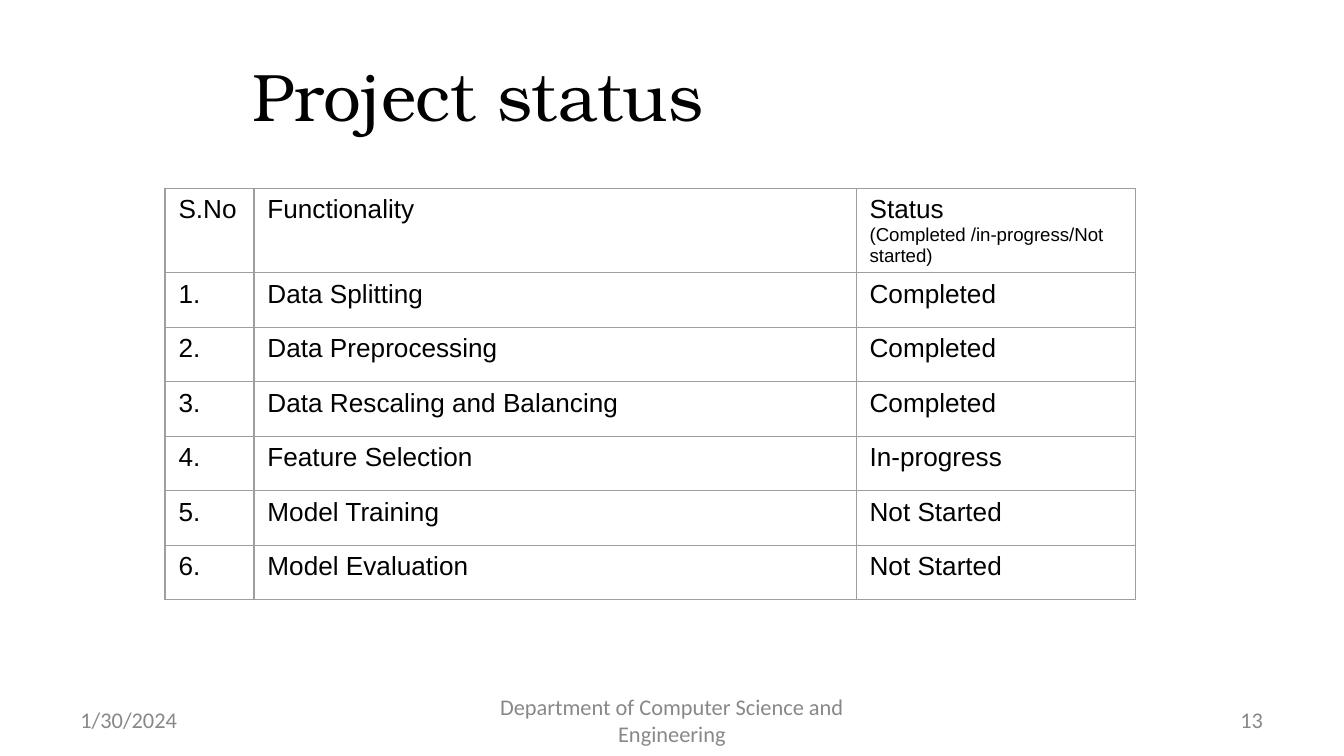
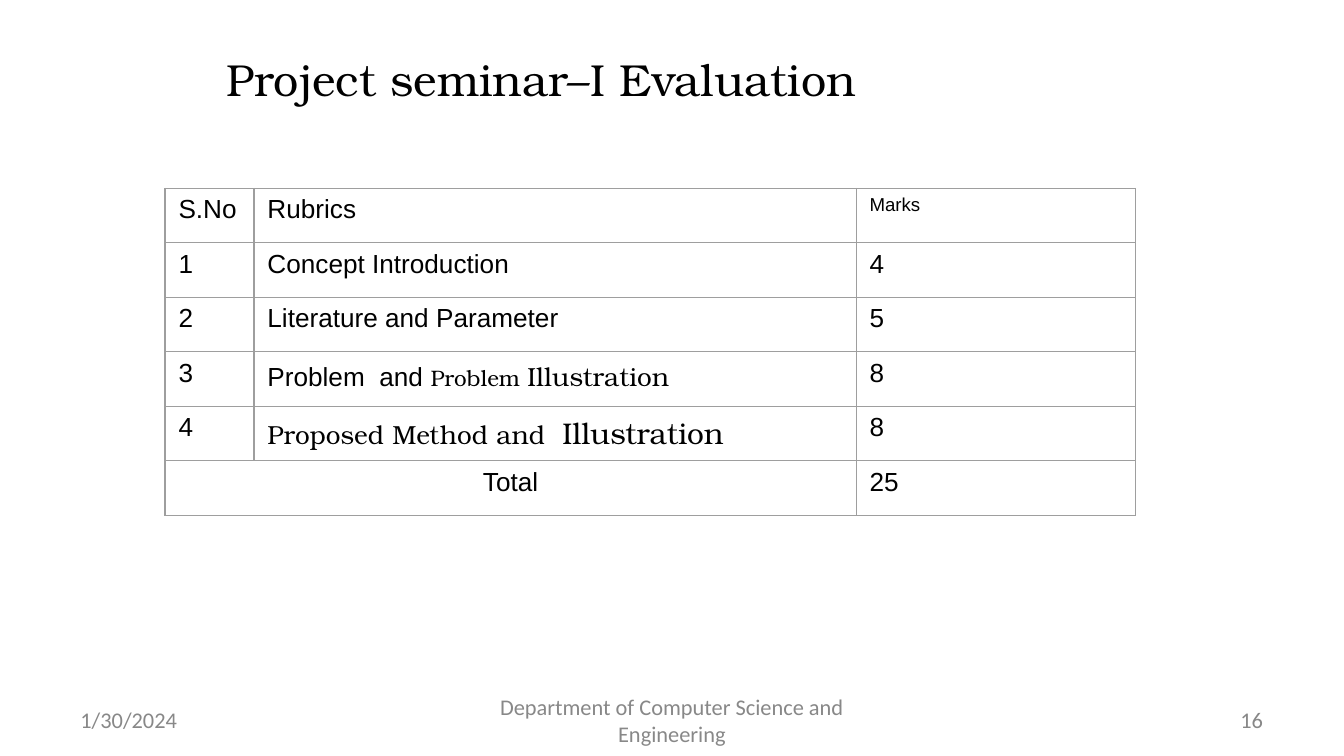
"""Build the project status and seminar evaluation slides."""
from lxml.etree import SubElement
from pptx import Presentation
from pptx.dml.color import RGBColor
from pptx.enum.text import MSO_ANCHOR, MSO_AUTO_SIZE, PP_ALIGN
from pptx.oxml.ns import qn
from pptx.util import Cm, Pt

BLACK = RGBColor(0x00, 0x00, 0x00)
FOOTER_GREY = RGBColor(0x88, 0x88, 0x88)
BORDER_GREY = RGBColor(0x9E, 0x9E, 0x9E)
SERIF = "TeX Gyre Bonum"

TITLE_FORMAT = {"name": SERIF, "color": BLACK}
CELL_FORMAT = {"name": "Arial", "size": 14, "color": BLACK}
FOOTER_FORMAT = {"name": "Calibri", "size": 12, "color": FOOTER_GREY}
FRAME_FORMAT = {
    "word_wrap": True,
    "auto_size": MSO_AUTO_SIZE.NONE,
    "vertical_anchor": MSO_ANCHOR.MIDDLE,
    "margin_left": Cm(0.25),
    "margin_right": Cm(0.25),
    "margin_top": Cm(0.13),
    "margin_bottom": Cm(0.13),
}

DATE = "1/30/2024"
DEPARTMENT = "Department of Computer Science and Engineering"
COLUMN_WIDTHS = (1.68, 11.38, 5.28)
ROW_HEIGHT = 1.03

STATUS_HEADER = [
    ["Status"],
    [("(Completed /in-progress/Not started)", {"size": 10})],
]
STATUS_ROWS = [
    ["S.No", "Functionality", STATUS_HEADER],
    ["1.", "Data Splitting", "Completed"],
    ["2.", "Data Preprocessing", "Completed"],
    ["3.", "Data Rescaling and Balancing", "Completed"],
    ["4.", "Feature Selection", "In-progress"],
    ["5.", "Model Training", "Not Started"],
    ["6.", "Model Evaluation", "Not Started"],
]

PROBLEM = [[
    "Problem  and ",
    ("Problem ", {"name": SERIF, "size": 12}),
    ("Illustration", {"name": SERIF}),
]]
METHOD = [[
    ("Proposed Method and  ", {"name": SERIF}),
    ("Illustration", {"name": SERIF, "size": 16}),
]]
MARKS_ROWS = [
    ["S.No", "Rubrics", [[("Marks", {"size": 10})]]],
    ["1", "Concept Introduction", "4"],
    ["2", "Literature and Parameter", "5"],
    ["3", PROBLEM, "8"],
    ["4", METHOD, "8"],
    ["Total", "", "25"],
]


class Deck:
    """Hold the shared style and the current slide."""

    def __init__(self):
        self.presentation = Presentation()
        self.presentation.slide_width = Cm(25.4)
        self.presentation.slide_height = Cm(14.29)
        self.slide = None

    def add_slide(self, title, left, top, size, number):
        """Start a slide with its title and footers."""
        layout = self.presentation.slide_layouts[5]
        self.slide = self.presentation.slides.add_slide(layout)
        shape = self.slide.shapes.title
        self.place(shape, left, top, 17, 1.75)
        self.add_text(shape.text_frame, title, TITLE_FORMAT | {"size": size}, PP_ALIGN.CENTER)
        self.add_footer(DATE, 1.27, 5.92, PP_ALIGN.LEFT)
        self.add_footer(DEPARTMENT, 8.68, 8.04, PP_ALIGN.CENTER)
        self.add_footer(str(number), 18.2, 5.92, PP_ALIGN.RIGHT)

    def place(self, shape, left, top, width, height):
        """Position a text shape and format its frame."""
        shape.left, shape.top = Cm(left), Cm(top)
        shape.width, shape.height = Cm(width), Cm(height)
        for name, value in FRAME_FORMAT.items():
            setattr(shape.text_frame, name, value)

    def add_footer(self, text, left, width, alignment):
        """Add one grey footer text."""
        shape = self.slide.shapes.add_textbox(0, 0, 0, 0)
        self.place(shape, left, 13.23, width, 0.76)
        self.add_text(shape.text_frame, text, FOOTER_FORMAT, alignment)

    def add_text(self, frame, content, style, alignment=PP_ALIGN.LEFT):
        """Fill a frame with a string, or paragraphs of runs, in a base style."""
        paragraphs = [[content]] if isinstance(content, str) else content
        for index, runs in enumerate(paragraphs):
            paragraph = frame.add_paragraph() if index else frame.paragraphs[0]
            paragraph.alignment = alignment
            for item in runs:
                text, changes = (item, {}) if isinstance(item, str) else item
                run = paragraph.add_run()
                run.text = text
                values = style | changes
                run.font.color.rgb = values["color"]
                font_format = {"name": values["name"], "size": Pt(values["size"])}
                for name, value in font_format.items():
                    setattr(run.font, name, value)

    def add_table(self, rows):
        """Add a plain grid with grey borders."""
        frame = self.slide.shapes.add_table(
            len(rows), len(COLUMN_WIDTHS), Cm(3.12), Cm(3.56),
            Cm(sum(COLUMN_WIDTHS)), Cm(ROW_HEIGHT * len(rows)))
        table = frame.table
        table.first_row = table.horz_banding = False
        for column, width in zip(table.columns, COLUMN_WIDTHS):
            column.width = Cm(width)
        for row_index, row in enumerate(rows):
            table.rows[row_index].height = Cm(ROW_HEIGHT)
            for column_index, content in enumerate(row):
                cell = table.cell(row_index, column_index)
                self.add_borders(cell)
                cell.fill.background()
                if content:
                    self.add_text(cell.text_frame, content, CELL_FORMAT)
        return table

    def add_borders(self, cell):
        """Draw the four sides of a cell."""
        properties = cell._tc.get_or_add_tcPr()
        for side in ("lnL", "lnR", "lnT", "lnB"):
            line = SubElement(properties, qn(f"a:{side}"), w=str(Pt(0.75)))
            fill = SubElement(line, qn("a:solidFill"))
            SubElement(fill, qn("a:srgbClr"), val=str(BORDER_GREY))


def main():
    """Build both slides and save them."""
    deck = Deck()
    deck.add_slide("Project status", 0.53, 0.91, 36, 13)
    deck.add_table(STATUS_ROWS)

    deck.add_slide("Project seminar–I Evaluation", 1.73, 0.61, 24, 16)
    table = deck.add_table(MARKS_ROWS)
    total = table.cell(len(MARKS_ROWS) - 1, 0)
    total.merge(table.cell(len(MARKS_ROWS) - 1, 1))
    total.text_frame.paragraphs[0].alignment = PP_ALIGN.CENTER

    deck.presentation.save("out.pptx")


if __name__ == "__main__":
    main()
